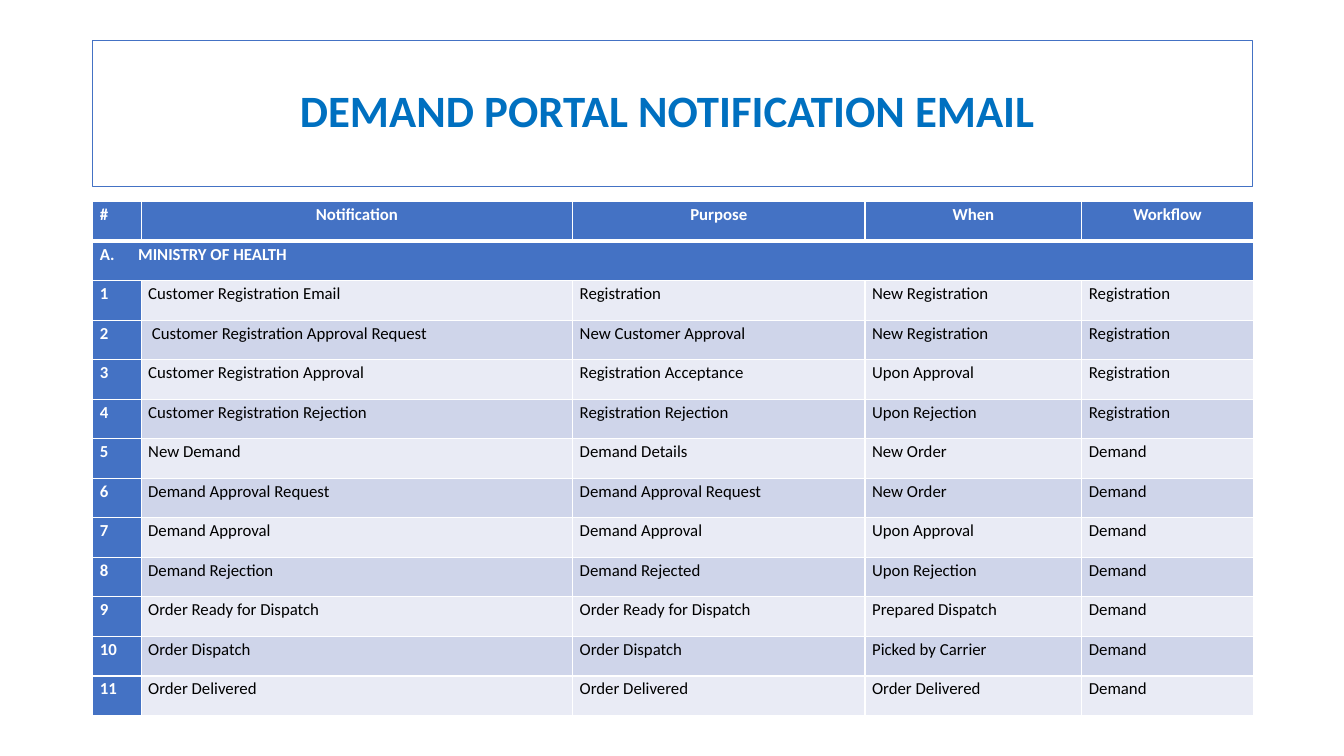
from dataclasses import dataclass

from lxml.etree import SubElement
from pptx import Presentation
from pptx.dml.color import RGBColor
from pptx.enum.text import MSO_ANCHOR as Anchor, PP_ALIGN as Align
from pptx.oxml.ns import qn
from pptx.util import Inches, Pt


@dataclass(frozen=True)
class Theme:
    font: str = "Calibri"
    title_size: int = 32
    table_size: int = 12
    title_blue: str = "0070C0"
    blue: str = "4472C4"
    white: str = "FFFFFF"
    black: str = "000000"
    bands: tuple = ("E9EBF5", "CFD5EA")


THEME = Theme()
LEFT, WIDTH = Inches(0.92), Inches(11.5)
TABLE_TOP, TABLE_HEIGHT = 2, 5.1
COLUMN_WIDTHS = (0.48, 4.28, 2.9, 2.15, 1.7)
HEADERS = ("#", "Notification", "Purpose", "When", "Workflow")
SECTION = "MINISTRY OF HEALTH"
NOTIFICATIONS = (
    ("Customer Registration Email", "Registration", "New Registration", "Registration"),
    (" Customer Registration Approval Request", "New Customer Approval", "New Registration", "Registration"),
    ("Customer Registration Approval", "Registration Acceptance", "Upon Approval", "Registration"),
    ("Customer Registration Rejection", "Registration Rejection", "Upon Rejection", "Registration"),
    ("New Demand", "Demand Details", "New Order", "Demand"),
    ("Demand Approval Request", "Demand Approval Request", "New Order", "Demand"),
    ("Demand Approval", "Demand Approval", "Upon Approval", "Demand"),
    ("Demand Rejection", "Demand Rejected", "Upon Rejection", "Demand"),
    ("Order Ready for Dispatch", "Order Ready for Dispatch", "Prepared Dispatch", "Demand"),
    ("Order Dispatch", "Order Dispatch", "Picked by Carrier", "Demand"),
    ("Order Delivered", "Order Delivered", "Order Delivered", "Demand"),
)


def write_text(frame, text, *, size, color, bold=False, align=Align.LEFT, line_spacing=1.15, space_after=10):
    paragraph = frame.paragraphs[0]
    paragraph.alignment = align
    paragraph.line_spacing = line_spacing
    paragraph.space_after = Pt(space_after)
    run = paragraph.add_run()
    run.text = text
    run.font.name = THEME.font
    run.font.size = Pt(size)
    run.font.bold = bold
    run.font.color.rgb = RGBColor.from_string(color)
    return paragraph


def number_with_letter(paragraph, indent):
    properties = paragraph._p.get_or_add_pPr()
    properties.set("marL", str(Inches(indent)))
    properties.set("indent", str(-Inches(indent)))
    SubElement(properties, qn("a:buAutoNum"), type="alphaUcPeriod")


def set_borders(cell, top, bottom):
    """Draw white borders; top and bottom widths are in points."""
    properties = cell._tc.get_or_add_tcPr()
    for side, width in (("L", 1), ("R", 1), ("T", top), ("B", bottom)):
        line = SubElement(properties, qn(f"a:ln{side}"), w=str(Pt(width)))
        fill = SubElement(line, qn("a:solidFill"))
        SubElement(fill, qn("a:srgbClr"), val=THEME.white)


def format_cell(cell, fill, *, top=1, bottom=1):
    cell.margin_left = cell.margin_right = Inches(0.07)
    cell.margin_top = cell.margin_bottom = 0
    set_borders(cell, top, bottom)
    cell.fill.solid()
    cell.fill.fore_color.rgb = RGBColor.from_string(fill)


def add_title(slide, text):
    title = slide.shapes.title
    title.left, title.top, title.width, title.height = LEFT, Inches(0.4), WIDTH, Inches(1.45)
    title.fill.solid()
    title.fill.fore_color.rgb = RGBColor.from_string(THEME.white)
    title.line.color.rgb = RGBColor.from_string(THEME.blue)
    title.line.width = Pt(1)
    title.text_frame.vertical_anchor = Anchor.MIDDLE
    write_text(title.text_frame, text, size=THEME.title_size, color=THEME.title_blue, bold=True,
               align=Align.CENTER, line_spacing=0.9, space_after=0)


def fill_heading_rows(table):
    heading = {"size": THEME.table_size, "color": THEME.white, "bold": True}
    for column, text in enumerate(HEADERS):
        cell = table.cell(0, column)
        format_cell(cell, THEME.blue, bottom=3)
        write_text(cell.text_frame, text, align=Align.CENTER if column else Align.LEFT, **heading)
        format_cell(table.cell(1, column), THEME.blue, top=3)
    section = table.cell(1, 0)
    section.merge(table.cell(1, len(HEADERS) - 1))
    number_with_letter(write_text(section.text_frame, SECTION, **heading), 0.38)


def fill_notification_rows(table):
    for index, notification in enumerate(NOTIFICATIONS):
        band = THEME.bands[index % 2]
        for column, text in enumerate((str(index + 1), *notification)):
            is_number = column == 0
            cell = table.cell(index + 2, column)
            format_cell(cell, THEME.blue if is_number else band)
            write_text(cell.text_frame, text, size=THEME.table_size, bold=is_number,
                       color=THEME.white if is_number else THEME.black)


def add_notification_table(slide):
    row_count = len(NOTIFICATIONS) + 2
    table = slide.shapes.add_table(row_count, len(HEADERS), LEFT, Inches(TABLE_TOP),
                                   WIDTH, Inches(TABLE_HEIGHT)).table
    for column, width in zip(table.columns, COLUMN_WIDTHS):
        column.width = Inches(width)
    for row in table.rows:
        row.height = Inches(TABLE_HEIGHT / row_count)
    fill_heading_rows(table)
    fill_notification_rows(table)


def main():
    presentation = Presentation()
    presentation.slide_width, presentation.slide_height = Inches(13.33), Inches(7.5)
    slide = presentation.slides.add_slide(presentation.slide_layouts[5])
    add_title(slide, "DEMAND PORTAL NOTIFICATION EMAIL ")
    add_notification_table(slide)
    presentation.save("out.pptx")


if __name__ == "__main__":
    main()
